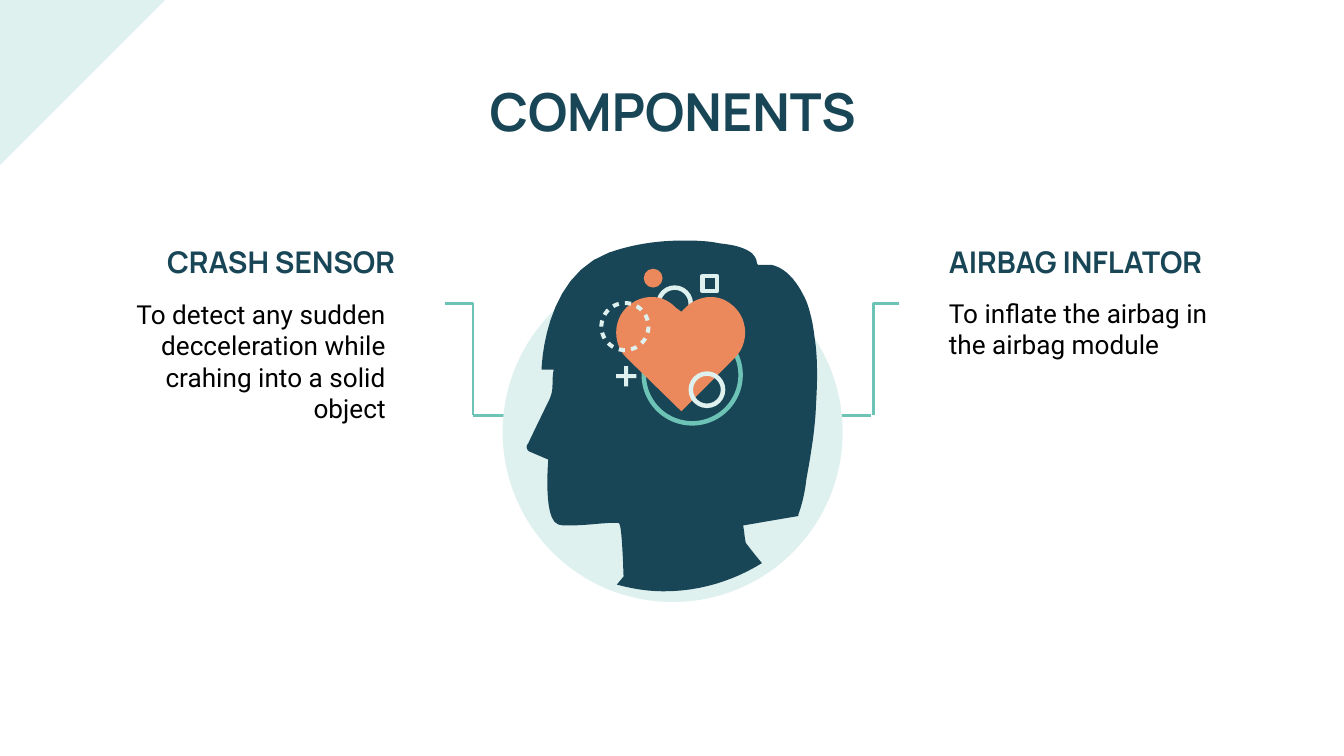
from math import cos, sin, radians
from lxml.etree import SubElement
from pptx import Presentation
from pptx.dml.color import RGBColor
from pptx.enum.shapes import MSO_CONNECTOR, MSO_SHAPE
from pptx.enum.text import MSO_ANCHOR, MSO_AUTO_SIZE, PP_ALIGN
from pptx.oxml.ns import qn
from pptx.util import Inches, Pt

HUE = {name: RGBColor.from_string(code) for name, code in {
    "navy": "194656", "teal": "6CC3B6", "mint": "DFF1EF",
    "coral": "EB895D", "black": "000000"}.items()}

# Widescreen page, 16 to 9
deck = Presentation()
deck.slide_width = Inches(10)
deck.slide_height = Inches(10) * 9 // 16
slide = deck.slides.add_slide(deck.slide_layouts[4])
shapes = slide.shapes


def paint(shape, fill=None, line=None):
    """Give a shape a plain fill or a plain outline."""
    shape.shadow.inherit = False
    if fill:
        shape.fill.solid()
        shape.fill.fore_color.rgb = HUE[fill]
    else:
        shape.fill.background()
    if line:
        shape.line.color.rgb = HUE[line]
        shape.line.width = Pt(2.4)
    else:
        shape.line.fill.background()


def trace(start, steps, fill):
    """Draw a closed outline; a step is a line (2 numbers) or a curve (6)."""
    dots, (x, y) = [], start
    for step in steps:
        if len(step) == 6:
            a, b, c, d, e, f = step
            for i in range(1, 12):
                t = i / 12
                u = 1 - t
                k = (u**3, 3 * u * u * t, 3 * u * t * t, t**3)
                dots.append((k[0] * x + k[1] * a + k[2] * c + k[3] * e,
                             k[0] * y + k[1] * b + k[2] * d + k[3] * f))
        x, y = step[-2:]
        dots.append((x, y))
    pen = shapes.build_freeform(Inches(start[0]), Inches(start[1]), scale=1.0)
    pen.add_line_segments([(Inches(p), Inches(q)) for p, q in dots])
    paint(pen.convert_to_shape(), fill)


# Title, headings and descriptions
HEAD = {"name": "Manrope", "size": Pt(16), "bold": True}
BODY = {"name": "Roboto", "size": Pt(14), "bold": False}
LEFT, RIGHT, MID = PP_ALIGN.LEFT, PP_ALIGN.RIGHT, PP_ALIGN.CENTER
texts = [
    (0, "COMPONENTS", (0.78, 0.49, 8.45, 0.63), MID, "navy",
     {**HEAD, "size": Pt(28)}),
    (1, "CRASH SENSOR", (0.78, 1.71, 2.26, 0.4), RIGHT, "navy", HEAD),
    (2, "To detect any sudden decceleration while crahing into a solid object",
     (0.71, 2.12, 2.26, 0.68), RIGHT, "black", BODY),
    (3, "AIRBAG INFLATOR", (6.96, 1.71, 2.26, 0.4), LEFT, "navy", HEAD),
    (4, "To inflate the airbag in the airbag module",
     (6.96, 2.11, 2.26, 0.68), LEFT, "black", BODY),
]
for idx, words, box, align, hue, form in texts:
    hold = slide.placeholders[idx]
    hold.left, hold.top, hold.width, hold.height = map(Inches, box)
    frame = hold.text_frame
    frame.text = words
    frame.word_wrap = True
    frame.auto_size = MSO_AUTO_SIZE.NONE
    frame.vertical_anchor = MSO_ANCHOR.TOP
    for side in ("left", "right", "top", "bottom"):
        setattr(frame, f"margin_{side}", Inches(0.1))
    para = frame.paragraphs[0]
    props = para._p.get_or_add_pPr()
    props.set("marL", "0")
    props.set("indent", "0")
    SubElement(props, qn("a:buNone"))
    para.alignment = align
    para.space_before = Pt(0)
    para.space_after = Pt(8 if idx else 0)
    font = para.runs[0].font
    for key, value in form.items():
        setattr(font, key, value)
    font.color.rgb = HUE[hue]

# Corner triangle
wedge = shapes.add_shape(MSO_SHAPE.RIGHT_TRIANGLE, 0, 0,
                         Inches(1.23), Inches(1.23))
wedge.rotation = 90
paint(wedge, "mint")

# Connectors from the texts to the disc
ELBOW, PLAIN = MSO_CONNECTOR.ELBOW, MSO_CONNECTOR.STRAIGHT
for kind, ends in [(ELBOW, (3.31, 2.26, 3.52, 3.09)),
                   (ELBOW, (6.69, 2.26, 6.5, 3.09)),
                   (PLAIN, (3.52, 3.09, 4.33, 3.09)),
                   (PLAIN, (5.68, 3.09, 6.48, 3.09))]:
    link = shapes.add_connector(kind, *map(Inches, ends))
    link.line.color.rgb = HUE["teal"]
    link.line.width = Pt(1.5)
    props = link._element.spPr
    SubElement(props, qn("a:effectLst"))
    if kind == ELBOW:
        props.find(qn("a:prstGeom")).set("prst", "bentConnector2")

# Disc and head
disc = shapes.add_shape(MSO_SHAPE.OVAL, Inches(3.74), Inches(1.95),
                        Inches(2.53), Inches(2.53))
paint(disc, "mint")
trace((5.07, 1.79), [
    (4.89, 1.79, 4.7, 1.82, 4.53, 1.88), (4.04, 2.06, 4.03, 2.75, 4.03, 2.75),
    (4.12, 2.75), (4.1, 2.86, 4.13, 2.89, 4.08, 2.99),
    (4.04, 3.07, 3.93, 3.3, 3.93, 3.3), (3.91, 3.32, 3.92, 3.35, 3.94, 3.36),
    (4.08, 3.42), (4.08, 3.42, 4.04, 3.86, 4.15, 3.9),
    (4.17, 3.91, 4.2, 3.91, 4.24, 3.91), (4.35, 3.91, 4.5, 3.89, 4.57, 3.89),
    (4.59, 3.89, 4.61, 3.89, 4.61, 3.9), (4.63, 3.93, 4.64, 4.29, 4.64, 4.29),
    (4.59, 4.35), (4.7, 4.38, 4.82, 4.4, 4.94, 4.4),
    (5.21, 4.4, 5.46, 4.32, 5.67, 4.19), (5.61, 4.12, 5.55, 4.04, 5.55, 4.04),
    (5.54, 4, 5.54, 3.96, 5.53, 3.91), (5.76, 3.87, 5.94, 3.84, 5.94, 3.84),
    (5.94, 3.83), (5.97, 3.75, 5.99, 3.66, 6, 3.57),
    (6.03, 3.4, 6.06, 3.23, 6.07, 3.06), (6.08, 2.87, 6.09, 2.68, 6.06, 2.5),
    (6.05, 2.41, 6.03, 2.32, 6, 2.24), (5.95, 2.13, 5.87, 2, 5.74, 1.97),
    (5.71, 1.97, 5.68, 1.97, 5.64, 1.97), (5.63, 1.96, 5.63, 1.94, 5.63, 1.94),
    (5.62, 1.91, 5.61, 1.9, 5.59, 1.88), (5.52, 1.83, 5.43, 1.82, 5.35, 1.81),
    (5.26, 1.79, 5.16, 1.79, 5.07, 1.79)], "navy")

# Rings behind the heart, the heart, then the marks around it
marks = [  # kind, centre, width, height, fill, line
    (MSO_SHAPE.OVAL, 5.02, 2.26, 0.24, 0.24, None, "mint"),
    (MSO_SHAPE.OVAL, 5.15, 2.79, 0.72, 0.72, None, "teal"),
    "heart",
    (MSO_SHAPE.RECTANGLE, 4.66, 2.8, 0.03, 0.15, "mint", None),
    (MSO_SHAPE.RECTANGLE, 4.66, 2.8, 0.15, 0.03, "mint", None),
    (MSO_SHAPE.OVAL, 5.26, 2.9, 0.24, 0.24, None, "mint"),
    (MSO_SHAPE.OVAL, 4.86, 2.07, 0.14, 0.14, "coral", None),
    (MSO_SHAPE.RECTANGLE, 5.28, 2.11, 0.11, 0.11, None, "mint"),
]
for mark in marks:
    if mark == "heart":
        trace((4.85, 2.21), [
            (4.78, 2.21, 4.71, 2.24, 4.66, 2.29),
            (4.56, 2.39, 4.56, 2.56, 4.66, 2.66), (5.07, 3.06), (5.47, 2.66),
            (5.57, 2.56, 5.57, 2.39, 5.47, 2.29),
            (5.42, 2.24, 5.36, 2.21, 5.29, 2.21),
            (5.22, 2.21, 5.15, 2.24, 5.1, 2.29), (5.07, 2.32), (5.03, 2.29),
            (4.98, 2.24, 4.92, 2.21, 4.85, 2.21)], "coral")
        continue
    kind, x, y, wide, high, fill, line = mark
    item = shapes.add_shape(kind, Inches(x - wide / 2), Inches(y - high / 2),
                            Inches(wide), Inches(high))
    paint(item, fill, line)

# Dashed ring of twelve arcs in one outline
pen = None
for turn in range(0, 360, 30):
    rim = [(r, turn - 90 + a) for r, sweep in
           ((0.19, (0, 5, 10, 15)), (0.16, (15, 10, 5, 0))) for a in sweep]
    dots = [(Inches(4.65 + r * cos(radians(a))),
             Inches(2.43 + r * sin(radians(a)))) for r, a in rim]
    if pen:
        pen.move_to(*dots[0])
    else:
        pen = shapes.build_freeform(*dots[0], scale=1.0)
    pen.add_line_segments(dots[1:])
paint(pen.convert_to_shape(), "mint")

deck.save("out.pptx")
